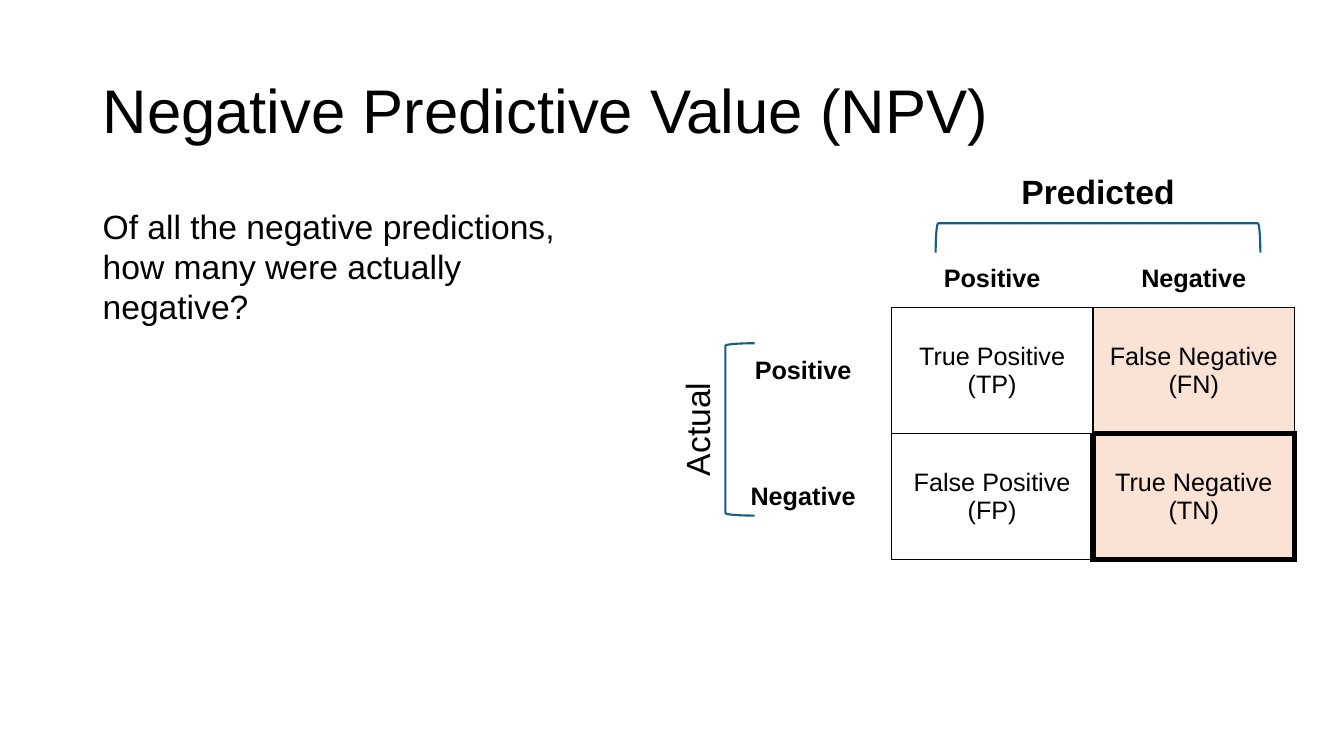
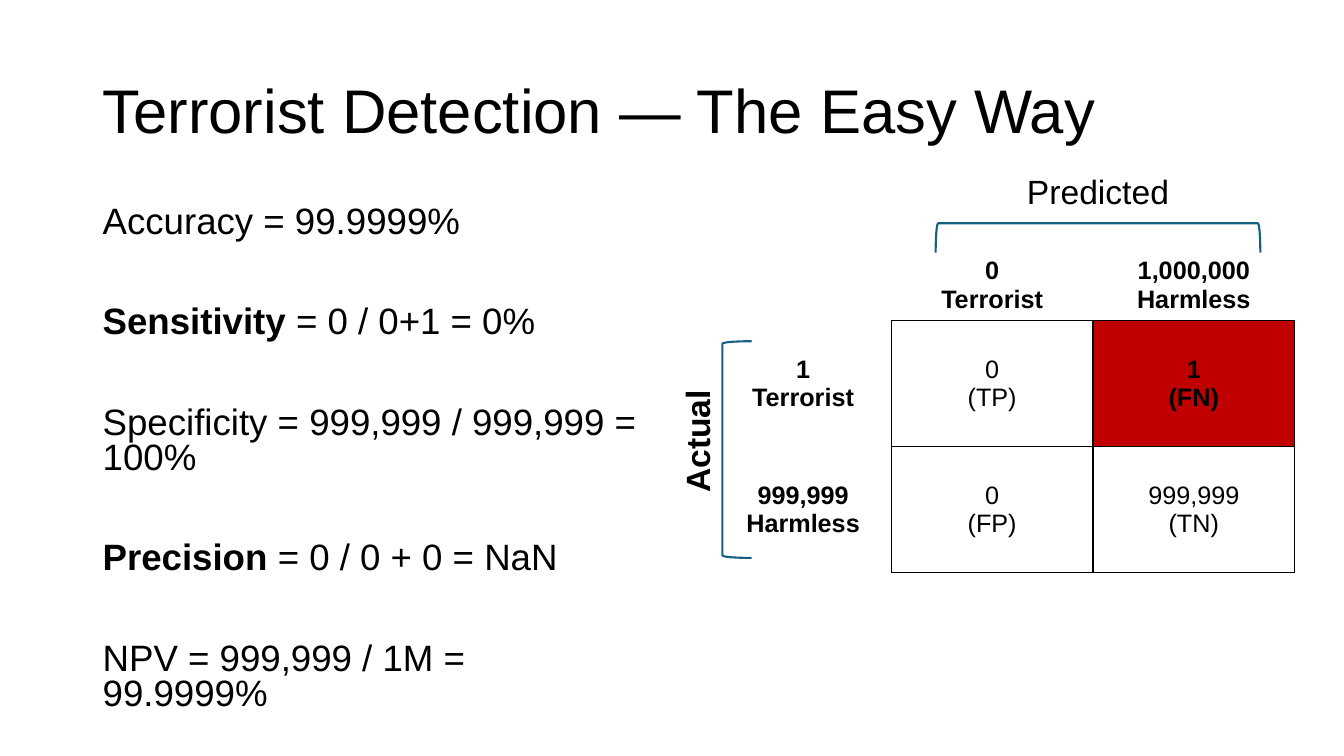
from pptx import Presentation
from pptx.dml.color import RGBColor
from pptx.enum.shapes import MSO_SHAPE as Shape
from pptx.enum.text import MSO_ANCHOR as Anchor, PP_ALIGN as Align
from pptx.oxml.ns import qn
from pptx.util import Inches, Pt
from lxml import etree

COLORS = {"ink": "000000", "bracket": "156082", "peach": "FAE2D5", "red": "C00000"}
FONT = "Arial"
THIN, THICK = 0.96, 4.48
SIDES = {"L": (0, -1), "R": (0, 1), "T": (-1, 0), "B": (1, 0)}


def color(name):
    return RGBColor.from_string(COLORS[name])


def fill_text(frame, paragraphs, size, align=Align.LEFT, line=None, before=0):
    """Write paragraphs, each a list of (text, bold) runs."""
    for index, runs in enumerate(paragraphs):
        para = frame.add_paragraph() if index else frame.paragraphs[0]
        para.alignment = align
        if line:
            para.line_spacing = line
        if index and before:
            para.space_before = Pt(before)
        for text, bold in runs:
            span = para.add_run()
            span.text = text
            span.font.name = FONT
            span.font.size = Pt(size)
            span.font.bold = bold
            span.font.color.rgb = color("ink")


def add_text(page, area, paragraphs, size, anchor=Anchor.TOP, **style):
    box = page.shapes.add_textbox(*map(Inches, area))
    box.text_frame.word_wrap = True
    box.text_frame.vertical_anchor = anchor
    fill_text(box.text_frame, paragraphs, size, **style)
    return box


def add_title(page, text):
    add_text(page, (0.92, 0.4, 11.5, 1.45), [[(text, False)]], 44,
             anchor=Anchor.MIDDLE, line=0.9)


# Axis: a rotated or level label with its bracket, both placed by their centres
def add_axis_label(page, center_x, center_y, text, bold, rotation=0):
    width, height = 2.32, 0.5
    box = add_text(page, (center_x - width / 2, center_y - height / 2, width, height),
                   [[(text, bold)]], 24, align=Align.CENTER)
    box.rotation = rotation


def add_bracket(page, center_x, center_y, length, rotation=0):
    depth = 0.29
    bracket = page.shapes.add_shape(
        Shape.LEFT_BRACKET, Inches(center_x - depth / 2),
        Inches(center_y - length / 2), Inches(depth), Inches(length))
    bracket.rotation = rotation
    bracket.shadow.inherit = False
    bracket.fill.background()
    bracket.line.color.rgb = color("bracket")
    bracket.line.width = Pt(1.5)


# Cell borders: every edge of a data cell is drawn, thick around the marked cell
def set_borders(cell, row, column, marked):
    properties = cell._tc.get_or_add_tcPr()
    for side, (down, across) in SIDES.items():
        pair = [(row, column), (row + down, column + across)]
        line = etree.SubElement(properties, qn(f"a:ln{side}"))
        if any(r in (1, 2) and c in (1, 2) for r, c in pair):
            line.set("w", str(Pt(THICK if marked in pair else THIN)))
            solid = etree.SubElement(line, qn("a:solidFill"))
            etree.SubElement(solid, qn("a:srgbClr"), val=COLORS["ink"])
        else:
            etree.SubElement(line, qn("a:noFill"))


def add_matrix(page, left, top, rows, fills, marked=None, bold_cells=()):
    """Draw the confusion matrix; a cell's lines become its paragraphs."""
    widths, heights = (1.75, 2, 2), (0.57, 1.25, 1.25)
    table = page.shapes.add_table(3, 3, Inches(left), Inches(top),
                                  Inches(sum(widths)), Inches(sum(heights))).table
    table.first_row = table.horz_banding = False
    for index in range(3):
        table.columns[index].width = Inches(widths[index])
        table.rows[index].height = Inches(heights[index])
    for row, texts in enumerate(rows):
        for column, text in enumerate(texts):
            cell = table.cell(row, column)
            cell.vertical_anchor = Anchor.MIDDLE
            set_borders(cell, row, column, marked)
            if (row, column) in fills:
                cell.fill.solid()
                cell.fill.fore_color.rgb = color(fills[row, column])
            else:
                cell.fill.background()
            if text:
                bold = row == 0 or column == 0 or (row, column) in bold_cells
                lines = [[(part, bold)] for part in text.split("\n")]
                fill_text(cell.text_frame, lines, 18, align=Align.CENTER)


def add_confusion(page, left, top, rows, fills, bold_axis, label_drop,
                  bracket_drop, bracket_length, bracket_shift, **matrix):
    """Matrix with its Predicted and Actual axes, around the table corner."""
    add_matrix(page, left, top, rows, fills, **matrix)
    middle = left + 3.8
    add_axis_label(page, middle, top - 0.58, "Predicted", bold_axis == "Predicted")
    add_bracket(page, middle, top - 0.12, 3.22, rotation=90)
    add_axis_label(page, left - 0.18, top + label_drop, "Actual",
                   bold_axis == "Actual", rotation=270)
    add_bracket(page, left + bracket_shift, top + bracket_drop, bracket_length)


def build_npv(page):
    add_title(page, "Negative Predictive Value (NPV)")
    question = "Of all the negative predictions, how many were actually negative?"
    add_text(page, (0.92, 1.99, 5.18, 1.3), [[(question, False)]], 24)
    rows = [("", "Positive", "Negative"),
            ("Positive", "True Positive\n(TP)", "False Negative (FN)"),
            ("Negative", "False Positive (FP)", "True Negative (TN)")]
    add_confusion(page, 7.09, 2.48, rows, {(1, 2): "peach", (2, 2): "peach"},
                  bold_axis="Predicted", label_drop=1.78, bracket_drop=1.78,
                  bracket_length=1.71, bracket_shift=0.25, marked=(2, 2))


def build_detection(page):
    add_title(page, "Terrorist Detection — The Easy Way")
    measures = [[("Accuracy = 99.9999%", False)],
                [("Sensitivity", True), (" = 0 / 0+1 = 0%", False)],
                [("Specificity = 999,999 / 999,999 = 100%", False)],
                [("Precision", True), (" = 0 / 0 + 0 = NaN", False)],
                [("NPV = 999,999 / 1M = 99.9999%", False)]]
    add_text(page, (0.92, 2, 5.51, 5.1), measures, 26.2, line=0.8, before=46.5)
    rows = [("", "0\nTerrorist", "1,000,000\nHarmless"),
            ("1\nTerrorist", "0\n(TP)", "1\n(FN)"),
            ("999,999\nHarmless", "0\n(FP)", "999,999\n(TN)")]
    add_confusion(page, 7.09, 2.48, rows, {(1, 2): "red"}, bold_axis="Actual",
                  label_drop=1.9, bracket_drop=1.98, bracket_length=2.15,
                  bracket_shift=0.22, bold_cells=[(1, 2)])


def main():
    deck = Presentation()
    deck.slide_width, deck.slide_height = Inches(13.33), Inches(7.5)
    for build in (build_npv, build_detection):
        build(deck.slides.add_slide(deck.slide_layouts[6]))
    deck.save("out.pptx")


if __name__ == "__main__":
    main()
